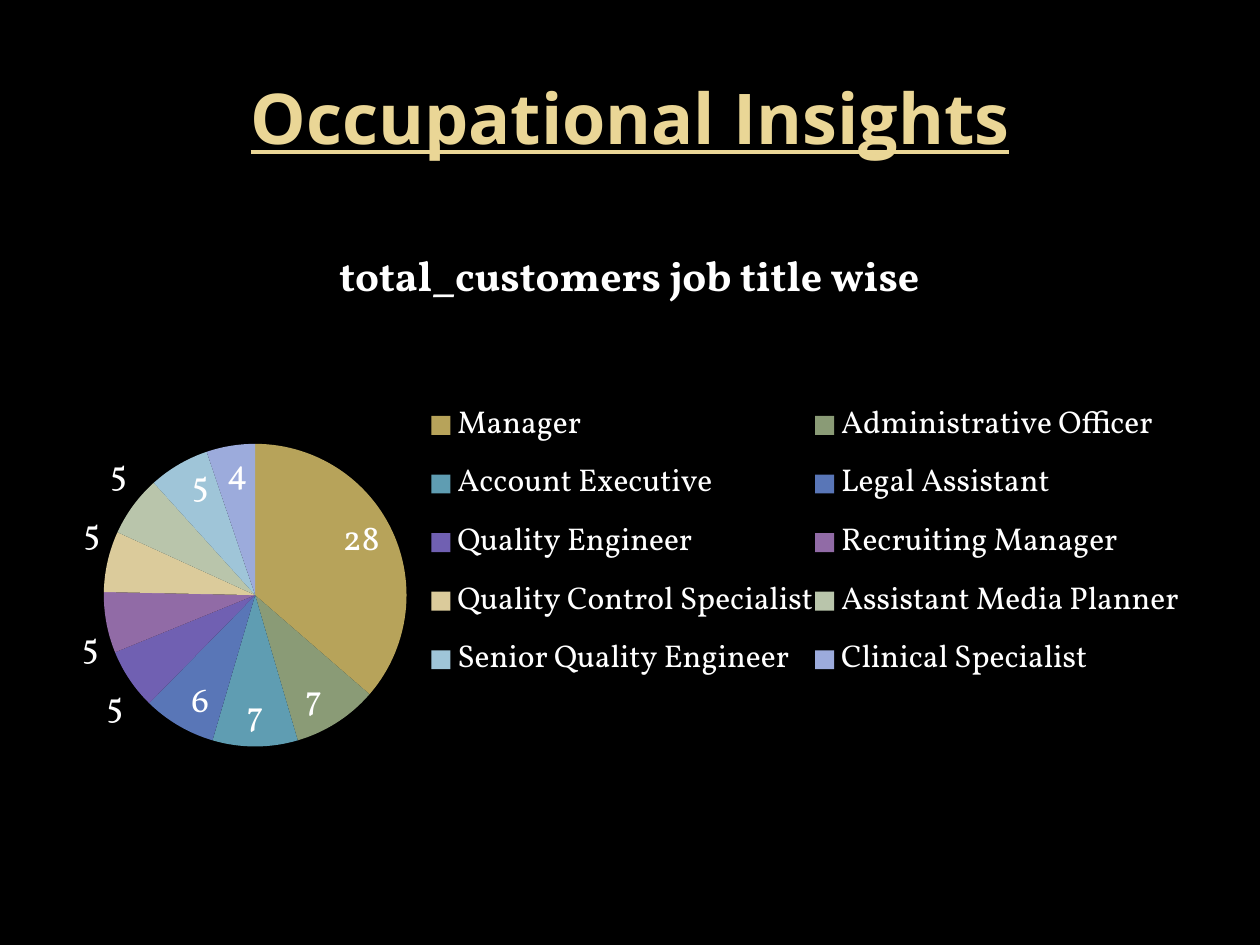
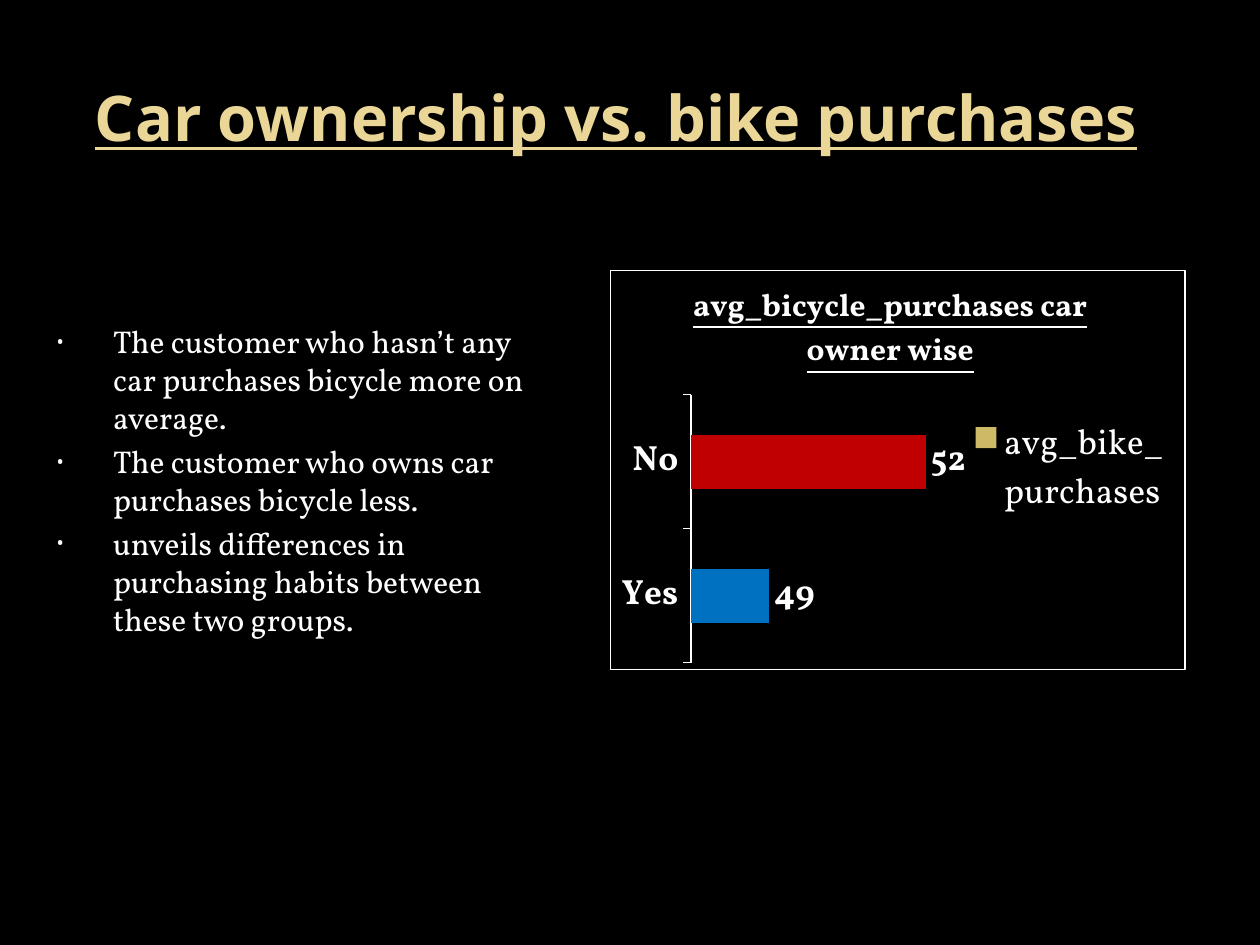
import pptx
import pptx.chart.data
import pptx.dml.color
import pptx.enum.chart
import pptx.enum.text
import pptx.oxml
import pptx.oxml.ns
import pptx.util

WIDTH, HEIGHT = 10, 7.5
HEADING_FONT, BODY_FONT = "Open Sans", "Vollkorn"
BLACK, WHITE, GOLD, BULLET = "000000", "FFFFFF", "EAD696", "F9F9F9"

JOBS = [  # job title, customers, slice colour
    ("Manager", 28, "B7A35A"),
    ("Administrative Officer", 7, "8A9B76"),
    ("Account Executive", 7, "5F9DB2"),
    ("Legal Assistant", 6, "5976B7"),
    ("Quality Engineer", 5, "7060B2"),
    ("Recruiting Manager", 5, "916BA6"),
    ("Quality Control Specialist", 5, "DBCB9B"),
    ("Assistant Media Planner", 5, "B9C5AB"),
    ("Senior Quality Engineer", 5, "9FC5D8"),
    ("Clinical Specialist", 4, "9CABDC"),
]
OWNERS = [("Yes", 49, "0070C0"), ("No", 52, "C00000")]
FINDINGS = [
    "The customer who hasn’t any car purchases bicycle more on average.",
    "The customer who owns car purchases bicycle less.",
    "unveils differences in purchasing habits between these two groups.",
]


def color(value):
    return pptx.dml.color.RGBColor.from_string(value)


def inches(*lengths):
    return [pptx.util.Inches(length) for length in lengths]


def style(font, size, face=BODY_FONT, shade=WHITE, bold=False, underline=False):
    font.size, font.name = pptx.util.Pt(size), face
    font.bold, font.underline = bold, underline
    font.color.rgb = color(shade)


def fill(part, shade):
    part.format.fill.solid()
    part.format.fill.fore_color.rgb = color(shade)


def xml(tag, content):
    """Parse one element that uses the chart and drawing namespaces."""
    names = pptx.oxml.ns.nsdecls("c", "a")
    return pptx.oxml.parse_xml(f"<{tag} {names}>{content}</{tag}>")


def place(element, index, x, y, width=None, height=None):
    """Fix a chart part at percentages of the chart's size."""
    for old in element.findall(pptx.oxml.ns.qn("c:layout")):
        element.remove(old)
    content = '<c:layoutTarget val="inner"/>' if index == 0 else ""
    content += '<c:xMode val="edge"/><c:yMode val="edge"/>'
    for name, percent in zip("xywh", (x, y, width, height)):
        if percent is not None:
            content += f'<c:{name} val="{percent / 100:.4f}"/>'
    element.insert(index, xml("c:layout", f"<c:manualLayout>{content}</c:manualLayout>"))


def add_text(page, bounds, lines, anchor):
    box = page.shapes.add_textbox(*inches(*bounds))
    frame = box.text_frame
    frame.word_wrap = True
    frame.vertical_anchor = anchor
    frame.text = "\n".join(lines)
    return frame.paragraphs


def add_page(deck, heading, bounds, size):
    page = deck.slides.add_slide(deck.slide_layouts[6])
    page.background.fill.solid()
    page.background.fill.fore_color.rgb = color(BLACK)
    para, = add_text(page, bounds, [heading], pptx.enum.text.MSO_ANCHOR.MIDDLE)
    para.alignment = pptx.enum.text.PP_ALIGN.CENTER
    style(para.runs[0].font, size, HEADING_FONT, GOLD, True, True)
    return page


def add_chart(page, kind, bounds, series_name, rows, title, title_size, legend_size,
              title_corner, plot_area, legend_area, bold=False, underline=False):
    """Add a one-series chart with a colour and a value label per point."""
    data = pptx.chart.data.CategoryChartData()
    data.categories = [name for name, _, _ in rows]
    data.add_series(series_name, [value for _, value, _ in rows])
    chart = page.shapes.add_chart(kind, *inches(*bounds), data).chart
    style(chart.font, 10)
    chart.has_title = True
    chart.chart_title.include_in_layout = False
    chart.chart_title.text_frame.text = title
    title_run = chart.chart_title.text_frame.paragraphs[0].runs[0]
    style(title_run.font, title_size, bold=True, underline=underline)
    chart.has_legend = True
    chart.legend.position = pptx.enum.chart.XL_LEGEND_POSITION.RIGHT
    chart.legend.include_in_layout = False
    style(chart.legend.font, legend_size)
    place(chart.chart_title._element, 1, *title_corner)
    place(chart.legend._element, 1, *legend_area)
    place(chart._chartSpace.chart.plotArea, 0, *plot_area)
    plot = chart.plots[0]
    plot.has_data_labels = True
    plot.data_labels.show_value = True
    style(plot.data_labels.font, 20, bold=bold)
    for index, (_, _, shade) in enumerate(rows):
        fill(plot.series[0].points[index], shade)
    return chart


def build_jobs(deck):
    page = add_page(deck, "Occupational Insights", (0.5, 0.3, 9, 1.25), 40)
    chart = add_chart(
        page, pptx.enum.chart.XL_CHART_TYPE.PIE, (0.5, 1.75, 9, 5.15), "Series 1",
        JOBS, "total_customers job title wise", 24, 18,
        (23.7, 2.9), (3.6, 34.4, 26.7, 46.7), (32.3, 26, 66.3, 47.3))
    plot = chart.plots[0]
    plot.vary_by_categories = True
    plot.data_labels.position = pptx.enum.chart.XL_LABEL_POSITION.BEST_FIT


def build_owners(deck):
    page = add_page(deck, "Car ownership vs. bike purchases", (0.28, 0.3, 9.22, 1.25), 36)
    paras = add_text(page, (0.2, 2.51, 4.33, 2.68), FINDINGS, pptx.enum.text.MSO_ANCHOR.TOP)
    for para in paras:
        style(para.runs[0].font, 18)
        para.space_before = pptx.util.Pt(3.6)
        properties = para._p.get_or_add_pPr()
        indent, hanging = inches(0.6, -0.45)
        properties.set("marL", str(indent))
        properties.set("indent", str(hanging))
        properties.append(xml("a:buClr", f'<a:srgbClr val="{BULLET}"/>'))
        for tag, name, value in (("buSzPct", "val", "65000"), ("buFont", "typeface", HEADING_FONT),
                                 ("buChar", "char", "•")):
            bullet = xml(f"a:{tag}", "")
            bullet.set(name, value)
            properties.append(bullet)

    chart = add_chart(
        page, pptx.enum.chart.XL_CHART_TYPE.BAR_CLUSTERED, (4.84, 2.14, 4.57, 3.18),
        "avg_bike_purchases", OWNERS, "avg_bicycle_purchases car owner wise", 18, 20,
        (13.4, 1.6), (14, 31.2, 45.4, 67.1), (61.9, 36.5, 36, 27),
        bold=True, underline=True)
    border = f'<a:solidFill><a:srgbClr val="{WHITE}"/></a:solidFill>'
    chart._chartSpace.chart.addnext(
        xml("c:spPr", f'<a:noFill/><a:ln w="{pptx.util.Pt(0.75)}">{border}</a:ln>'))
    plot = chart.plots[0]
    plot.vary_by_categories = False
    plot.gap_width = 150
    fill(plot.series[0], "CEB966")
    plot.data_labels.position = pptx.enum.chart.XL_LABEL_POSITION.OUTSIDE_END
    names, values = chart.category_axis, chart.value_axis
    style(names.tick_labels.font, 20, bold=True)
    names.major_tick_mark = pptx.enum.chart.XL_TICK_MARK.OUTSIDE
    names.format.line.color.rgb = color(WHITE)
    values.minimum_scale, values.maximum_scale = 47.5, 52.5
    values.has_major_gridlines = False
    values.visible = False


def main():
    deck = pptx.Presentation()
    deck.slide_width, deck.slide_height = inches(WIDTH, HEIGHT)
    build_jobs(deck)
    build_owners(deck)
    deck.save("out.pptx")


if __name__ == "__main__":
    main()
